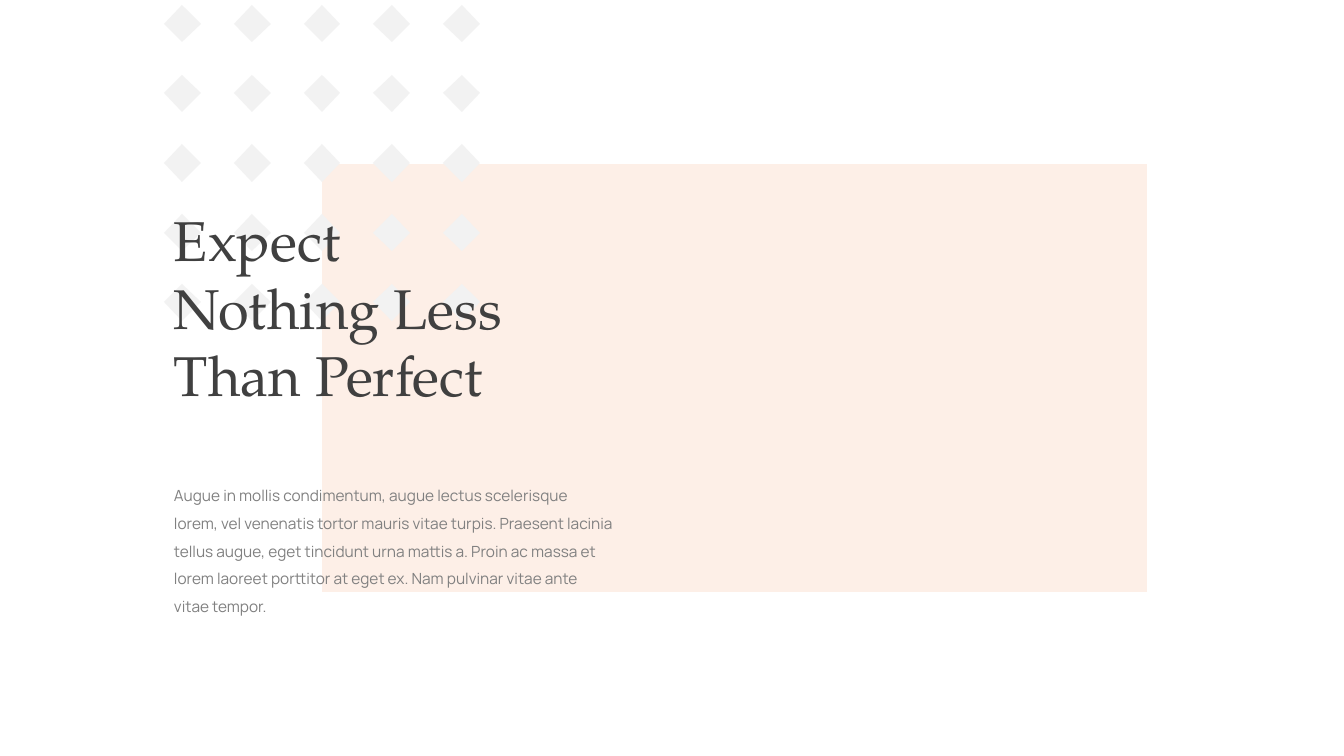
import lxml.etree
import pptx
import pptx.dml.color
import pptx.enum.shapes
import pptx.enum.text
import pptx.oxml.ns
import pptx.util

EMU_PER_PIXEL = 914400 / 100.8
TITLE = "Expect Nothing Less Than Perfect"
BODY = (
    "Augue in mollis condimentum, augue lectus scelerisque lorem, vel venenatis "
    "tortor mauris vitae turpis. Praesent lacinia tellus augue, eget tincidunt "
    "urna mattis a. Proin ac massa et lorem laoreet porttitor at eget ex. "
    "Nam pulvinar vitae ante vitae tempor."
)


def emu(pixels):
    """Turn pixels into EMU."""
    return pptx.util.Emu(round(pixels * EMU_PER_PIXEL))


def color(value):
    """Turn a hex string into a colour."""
    return pptx.dml.color.RGBColor.from_string(value)


def paint(shape, fill):
    """Give a shape a flat fill with no line and no shadow."""
    shape.shadow.inherit = False
    shape.fill.solid()
    shape.fill.fore_color.rgb = color(fill)
    shape.line.fill.background()


def add_panel(page, left, top, width, height, fill, opacity):
    """Add a rectangle whose fill has the given opacity in percent."""
    panel = page.shapes.add_shape(
        pptx.enum.shapes.MSO_SHAPE.RECTANGLE,
        emu(left), emu(top), emu(width), emu(height),
    )
    paint(panel, fill)
    tint = panel.fill._xPr.find(".//" + pptx.oxml.ns.qn("a:srgbClr"))
    alpha = lxml.etree.SubElement(tint, pptx.oxml.ns.qn("a:alpha"))
    alpha.set("val", str(opacity * 1000))


def add_diamond(group, left, top, size, fill):
    """Add one diamond outline to a group."""
    half = size / 2
    builder = group.shapes.build_freeform(left + half, top, scale=EMU_PER_PIXEL)
    builder.add_line_segments(
        [(left + size, top + half), (left + half, top + size), (left, top + half)],
        close=True,
    )
    paint(builder.convert_to_shape(), fill)


def add_diamond_grid(page, left, top, count, reach, size, fill):
    """Add a square grid of diamonds, reach being first to last in a row."""
    group = page.shapes.add_group_shape()
    offsets = [reach * step / (count - 1) for step in range(count)]
    for down in offsets:
        for across in offsets:
            add_diamond(group, left + across, top + down, size, fill)


def add_text(page, left, top, width, height, text, font, size, ink, spacing=None):
    """Add a wrapped text box holding one paragraph."""
    box = page.shapes.add_textbox(emu(left), emu(top), emu(width), emu(height))
    frame = box.text_frame
    frame.word_wrap = True
    frame.auto_size = pptx.enum.text.MSO_AUTO_SIZE.SHAPE_TO_FIT_TEXT
    para = frame.paragraphs[0]
    para.line_spacing = spacing
    span = para.add_run()
    span.text = text
    span.font.name = font
    span.font.size = pptx.util.Pt(size)
    span.font.color.rgb = color(ink)


def main():
    """Build the slide and save it."""
    deck = pptx.Presentation()
    deck.slide_width, deck.slide_height = emu(1344), emu(756)
    page = deck.slides.add_slide(deck.slide_layouts[6])
    add_panel(page, 322, 164, 825, 428, "FDEFE6", 95)
    add_diamond_grid(page, 164, 5, 5, 279, 37, "F2F2F2")
    add_text(page, 164, 201, 387, 214, TITLE, "TeX Gyre Pagella", 40, "404040")
    add_text(page, 164, 472, 460, 150, BODY, "Manrope", 11, "808080", 1.5)
    deck.save("out.pptx")


main()
